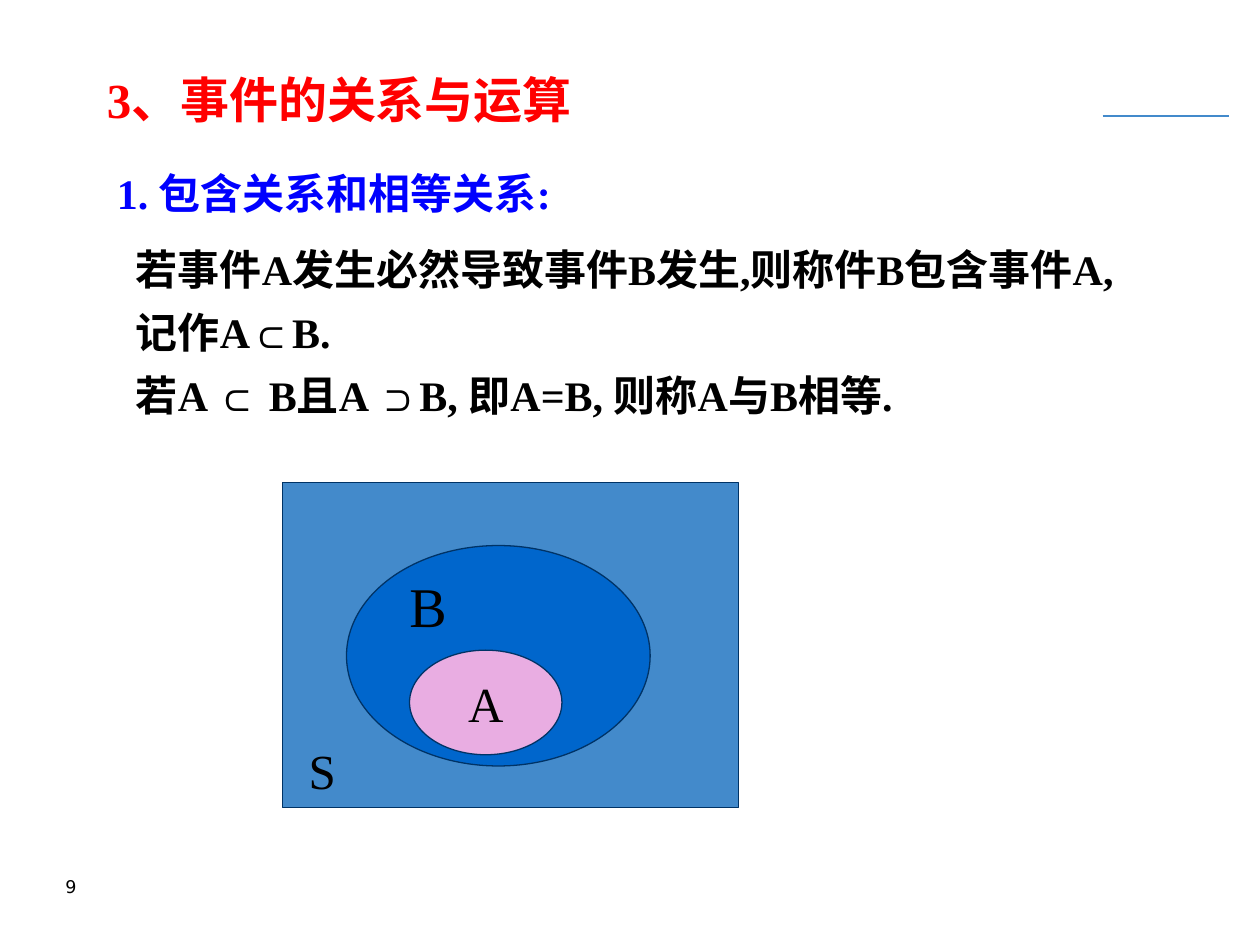
from lxml.etree import SubElement
from pptx import Presentation
from pptx.dml.color import RGBColor
from pptx.enum.shapes import MSO_CONNECTOR, MSO_SHAPE
from pptx.enum.text import MSO_ANCHOR as ANCHOR, PP_ALIGN as ALIGN
from pptx.oxml.ns import qn
from pptx.util import Inches, Pt

W, H = Inches(10), Inches(7.5)
COLORS = {"black": "000000", "red": "FF0000", "blue": "0000FF", "sky": "438ACB",
          "royal": "0066CC", "pink": "E9ADE2", "navy": "003366"}
SERIF, SANS, CJK, UI = "Times New Roman", "Arial", "Noto Sans CJK SC", "DejaVu Sans"

# Boxes are left, top, width, height in percent of the slide.
# A paragraph is a list of (text, font) runs.
TEXTS = [
    dict(box=(4.2, 92, 23.3, 3.6), size=10, paras=[[("9", UI)]]),
    dict(box=(8.3, 17.07, 54.2, 6.67), size=24, color="blue", bold=True,
         paras=[[("1. 包含关系和相等关系:", SERIF)]]),
    dict(box=(9.8, 20.4, 83.5, 28), size=24, bold=True, spacing=1.25,
         anchor=ANCHOR.MIDDLE, paras=[
             [("若事件A发生必然导致事件B发生,则称件B包含事件A,", SERIF)],
             [("记作A", SERIF), ("⊂", SANS), ("B.", SERIF)],
             [("若A ", SERIF), ("⊂", SANS), (" B且A ", SERIF), ("⊃", SANS),
              ("B, 即A=B, 则称A与B相等.", SERIF)]]),
    dict(box=(7.5, 5.47, 87.8, 8.8), size=28, color="red", bold=True, spacing=1.2,
         paras=[[("3、", SERIF), ("事件的关系与运算", CJK)]]),
]
SETS = [
    (MSO_SHAPE.RECTANGLE, (22.4, 51.07, 36.2, 34.4), "sky"),
    (MSO_SHAPE.OVAL, (27.5, 57.73, 24.1, 23.33), "royal"),
    (MSO_SHAPE.OVAL, (32.5, 68.8, 12.1, 11.07), "pink"),
]
SET_LABELS = [
    dict(box=(31.5, 59.87, 7, 8.53), size=32, paras=[[("B", SERIF)]]),
    dict(box=(23.5, 77.73, 4.1, 7.6), size=28, wrap=False, paras=[[("S", SERIF)]]),
]
RULE = (87.5, 12.27, 97.5, 12.27)


def rgb(name):
    return RGBColor.from_string(COLORS[name])


def place(box):
    """Turn x, y, x, y percentages into slide lengths."""
    return [round(v * full / 100) for v, full in zip(box, (W, H, W, H))]


def write(tf, paras, size, color="black", bold=False, spacing=None,
          anchor=ANCHOR.TOP, align=ALIGN.LEFT, wrap=True):
    tf.word_wrap, tf.vertical_anchor = wrap, anchor
    for i, runs in enumerate(paras):
        p = tf.add_paragraph() if i else tf.paragraphs[0]
        p.alignment = align
        if spacing:
            p.line_spacing = spacing
        for text, font in runs:
            r = p.add_run()
            r.text = text
            r.font.name, r.font.size, r.font.bold = font, Pt(size), bold
            r.font.color.rgb = rgb(color)
            SubElement(r.font._element, qn("a:ea"), typeface=CJK)


def add_text(shapes, box, **style):
    write(shapes.add_textbox(*place(box)).text_frame, **style)


def add_set(shapes, kind, box, fill):
    sp = shapes.add_shape(kind, *place(box))
    sp.shadow.inherit = False
    sp.fill.solid()
    sp.fill.fore_color.rgb = rgb(fill)
    sp.line.color.rgb = rgb("navy")
    sp.line.width = Pt(0.75)
    return sp


prs = Presentation()
prs.slide_width, prs.slide_height = W, H
s = prs.slides.add_slide(prs.slide_layouts[6])

rule = s.shapes.add_connector(MSO_CONNECTOR.STRAIGHT, *place(RULE))
rule.line.color.rgb = rgb("sky")
rule.line.width = Pt(0.75)
SubElement(rule._element.spPr, qn("a:effectLst"))

venn = s.shapes.add_group_shape().shapes
universe, set_b, set_a = [add_set(venn, *item) for item in SETS]
write(set_a.text_frame, [[("A", SERIF)]], 28, anchor=ANCHOR.MIDDLE,
      align=ALIGN.CENTER, wrap=False)
for label in SET_LABELS:
    add_text(venn, **label)
for text in TEXTS:
    add_text(s.shapes, **text)

prs.save("out.pptx")
